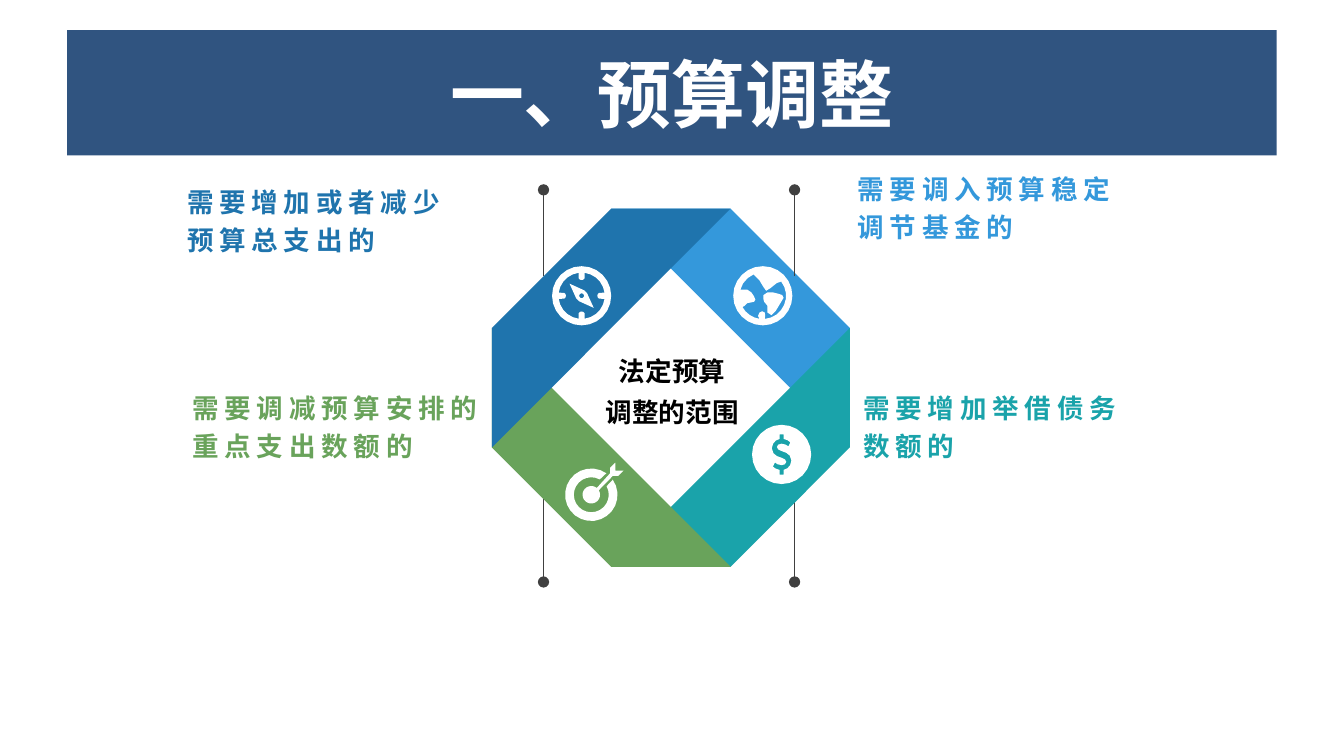
import math
from dataclasses import dataclass

import pptx
import pptx.dml.color
import pptx.enum.shapes
import pptx.enum.text
import pptx.oxml.ns
import pptx.util
from lxml import etree

Cm = pptx.util.Cm
Pt = pptx.util.Pt
RGBColor = pptx.dml.color.RGBColor
Align = pptx.enum.text.PP_ALIGN
Anchor = pptx.enum.text.MSO_ANCHOR
qn = pptx.oxml.ns.qn
Points = list[tuple[float, float]]

NAVY = RGBColor(0x30, 0x54, 0x80)
BLUE = RGBColor(0x1F, 0x74, 0xAD)
SKY = RGBColor(0x34, 0x98, 0xDB)
TEAL = RGBColor(0x1A, 0xA3, 0xAA)
GREEN = RGBColor(0x69, 0xA3, 0x5B)
GRAY = RGBColor(0x40, 0x40, 0x40)
WHITE = RGBColor(0xFF, 0xFF, 0xFF)
BLACK = RGBColor(0, 0, 0)
CJK_FONT = "Noto Sans CJK SC"

OCTAGON_LEFT, OCTAGON_TOP = 9.15, 3.88
STRIPE, STRIPE_STEP = 4.44, 2.22
PIN_COLUMNS = (10.11, 14.78)
ICON_UNIT = Cm(0.55) / 22  # an icon disc has a radius of 22 units
FINENESS = 100  # outline steps per icon unit, since outlines keep whole numbers only


@dataclass
class Stripe:
    column: int
    row: int
    color: RGBColor


@dataclass
class Label:
    text: str
    left: float
    top: float
    width: float
    color: RGBColor


@dataclass
class Icon:
    x: float
    y: float
    contours: list[Points]


STRIPES = [Stripe(1, 0, SKY), Stripe(1, 1, TEAL), Stripe(0, 1, GREEN), Stripe(0, 0, BLUE)]
LABELS = [
    Label("需要增加或者减少\n预算总支出的", 3.3, 3.9, 5.94, BLUE),
    Label("需要调入预算稳定\n调节基金的", 15.77, 3.66, 5.84, SKY),
    Label("需要增加举借债务数额的", 15.88, 7.73, 5.64, TEAL),
    Label("需要调减预算安排的重点支出数额的", 3.4, 7.73, 5.94, GREEN),
]


def arc(radius: float, start: float = 0, end: float = 360) -> Points:
    """Points on an arc around the icon's centre, in degrees clockwise from the right."""
    steps = max(2, round(abs(end - start) / 15))
    angles = [math.radians(start + (end - start) * i / steps) for i in range(steps + 1)]
    return [(radius * math.cos(a), radius * math.sin(a)) for a in angles]


def target() -> list[Points]:
    ring = arc(19.5, -35, 305) + arc(13, 299, -29)
    arrow = [(14, -16), (14, -20), (18, -24), (18, -18), (24, -18), (20, -14), (16, -14)]
    return [ring, arc(6.5, -31, 309) + arrow]


def dollar() -> list[Points]:
    half = [(-7.3, -4.5), (-6.3, -8), (-4.3, -10.3), (-1.5, -11.5), (-1.5, -15), (1.5, -15),
            (1.5, -11.5), (4.5, -10.5), (6.5, -9), (5, -6), (3, -7.3), (0, -8), (-2.5, -7.3),
            (-3.5, -5.5), (-2.5, -3.7), (0, -2.5), (3.5, -1.2), (6, 0.8)]
    return [arc(22), half + [(-x, -y) for x, y in half]]


def compass() -> list[Points]:
    dial: Points = []
    for turn in range(0, 360, 90):
        cos, sin = math.cos(math.radians(turn)), math.sin(math.radians(turn))
        notch = [(13, -2.2), (12, -1.3), (11.7, 0), (12, 1.3), (13, 2.2)]
        dial += [(x * cos - y * sin, x * sin + y * cos) for x, y in notch]
        dial += arc(17.2, turn + 7.5, turn + 82.5)
    needle = [(-9, -9), (2, -4), (4, -2), (9, 9), (-2, 4), (-4, 2)]
    return [arc(22), dial, needle, arc(1.8)]


def globe() -> list[Points]:
    west = [(-15.5, 8.5), (-13.5, 7.5), (-11.5, 5.5), (-6.5, 4.5), (-5.5, 3), (-6.5, 0.5),
            (-8.5, -2.5), (-11.5, -4.5), (-16.5, -4.5)]
    north = [(-6.5, -15.5), (-2.5, -11.5), (0.5, -6.5), (2.5, -3.7), (5.5, -5.5),
             (10.5, -9.5), (13.5, -10.5)]
    south = [(1.5, 17.2), (1.8, 15), (1.5, 12.5), (-0.5, 11.5), (-2.5, 12.5), (-3.5, 15),
             (-2.5, 17.2)]
    ocean = south + arc(17.3, 98, 151) + west + arc(17.3, 195, 247) + north + arc(17.3, -38, 85)
    land = [(11.5, -1.5), (7.5, -2.5), (3.5, -2.5), (0.5, -0.5), (0.5, 2.5), (1, 4.5),
            (3.5, 7.5), (3.5, 12.5), (6.5, 14.5), (9.5, 11.5), (12.5, 6.5), (15.5, 1.5),
            (14.5, -0.5)]
    return [arc(22), ocean, land]


def write(box, text: str, *, size: float, color: RGBColor, font: str = "Calibri",
          align=Align.LEFT, anchor=Anchor.MIDDLE, line_spacing: float = 1.0,
          spacing: float = 0, side_inset: float = 0.18, bottom_inset: float = 0.1) -> None:
    frame = box.text_frame
    frame.word_wrap = True
    frame.auto_size = pptx.enum.text.MSO_AUTO_SIZE.NONE
    frame.vertical_anchor = anchor
    frame.margin_left = frame.margin_right = Cm(side_inset)
    frame.margin_top, frame.margin_bottom = Cm(0.1), Cm(bottom_inset)
    for index, line in enumerate(text.split("\n")):
        para = frame.add_paragraph() if index else frame.paragraphs[0]
        para.alignment, para.line_spacing = align, line_spacing
        span = para.add_run()
        span.text = line
        span.font.name, span.font.size, span.font.bold = font, Pt(size), True
        span.font.color.rgb = color
        properties = span.font._element
        etree.SubElement(properties, qn("a:ea")).set("typeface", CJK_FONT)
        if spacing:
            properties.set("spc", str(round(spacing * 100)))


def paint(shape, color: RGBColor) -> None:
    shape.fill.solid()
    shape.fill.fore_color.rgb = color
    shape.line.fill.background()
    shape.shadow.inherit = False


def add_pins(page, head: float, end: float) -> None:
    for x in PIN_COLUMNS:
        pin = page.shapes.add_connector(pptx.enum.shapes.MSO_CONNECTOR.STRAIGHT,
                                        Cm(x), Cm(head), Cm(x), Cm(end))
        pin.line.color.rgb, pin.line.width = GRAY, Pt(0.5)
        etree.SubElement(pin.line._get_or_add_ln(), qn("a:headEnd")).set("type", "oval")
        etree.SubElement(pin._element.spPr, qn("a:effectLst"))


def add_stripe(page, stripe: Stripe) -> None:
    shape = page.shapes.add_shape(
        pptx.enum.shapes.MSO_SHAPE.DIAGONAL_STRIPE,
        Cm(OCTAGON_LEFT + stripe.column * STRIPE_STEP),
        Cm(OCTAGON_TOP + stripe.row * STRIPE_STEP), Cm(STRIPE), Cm(STRIPE))
    paint(shape, stripe.color)
    for name, flipped in (("flipH", stripe.column), ("flipV", stripe.row)):
        if flipped:
            shape._element.spPr.find(qn("a:xfrm")).set(name, "1")


def add_icon(page, icon: Icon) -> None:
    contours = [[(x * FINENESS, y * FINENESS) for x, y in contour] for contour in icon.contours]
    builder = page.shapes.build_freeform(*contours[0][0], scale=ICON_UNIT / FINENESS)
    for index, contour in enumerate(contours):
        if index:
            builder.move_to(*contour[0])
        builder.add_line_segments(contour[1:], close=True)
    paint(builder.convert_to_shape(Cm(icon.x), Cm(icon.y)), WHITE)


def main() -> None:
    deck = pptx.Presentation()
    deck.slide_width, deck.slide_height = Cm(25), Cm(14)
    page = deck.slides.add_slide(deck.slide_layouts[5])

    add_pins(page, 10.82, 9.22)
    for stripe in STRIPES:
        add_stripe(page, stripe)
    add_pins(page, 3.53, 5.13)

    center = page.shapes.add_textbox(Cm(10.83), Cm(6.65), Cm(3.35), Cm(1.07))
    write(center, "法定预算\n调整的范围", size=14, color=BLACK, align=Align.CENTER,
          line_spacing=1.3)

    for icon in (Icon(11, 9.2, target()), Icon(14.54, 8.45, dollar()),
                 Icon(10.82, 5.5, compass()), Icon(14.19, 5.5, globe())):
        add_icon(page, icon)

    for label in LABELS:
        box = page.shapes.add_textbox(Cm(label.left), Cm(label.top), Cm(label.width), Cm(0.86))
        write(box, label.text, size=14, color=label.color, font=CJK_FONT,
              anchor=Anchor.BOTTOM, line_spacing=1.2, spacing=3, bottom_inset=0)

    title = page.shapes.title
    title.left, title.top, title.width, title.height = Cm(1.25), Cm(0.56), Cm(22.5), Cm(2.33)
    title.fill.solid()
    title.fill.fore_color.rgb = NAVY
    write(title, "一、预算调整", size=39, color=WHITE, align=Align.CENTER, side_inset=0.23)

    deck.save("out.pptx")


if __name__ == "__main__":
    main()
